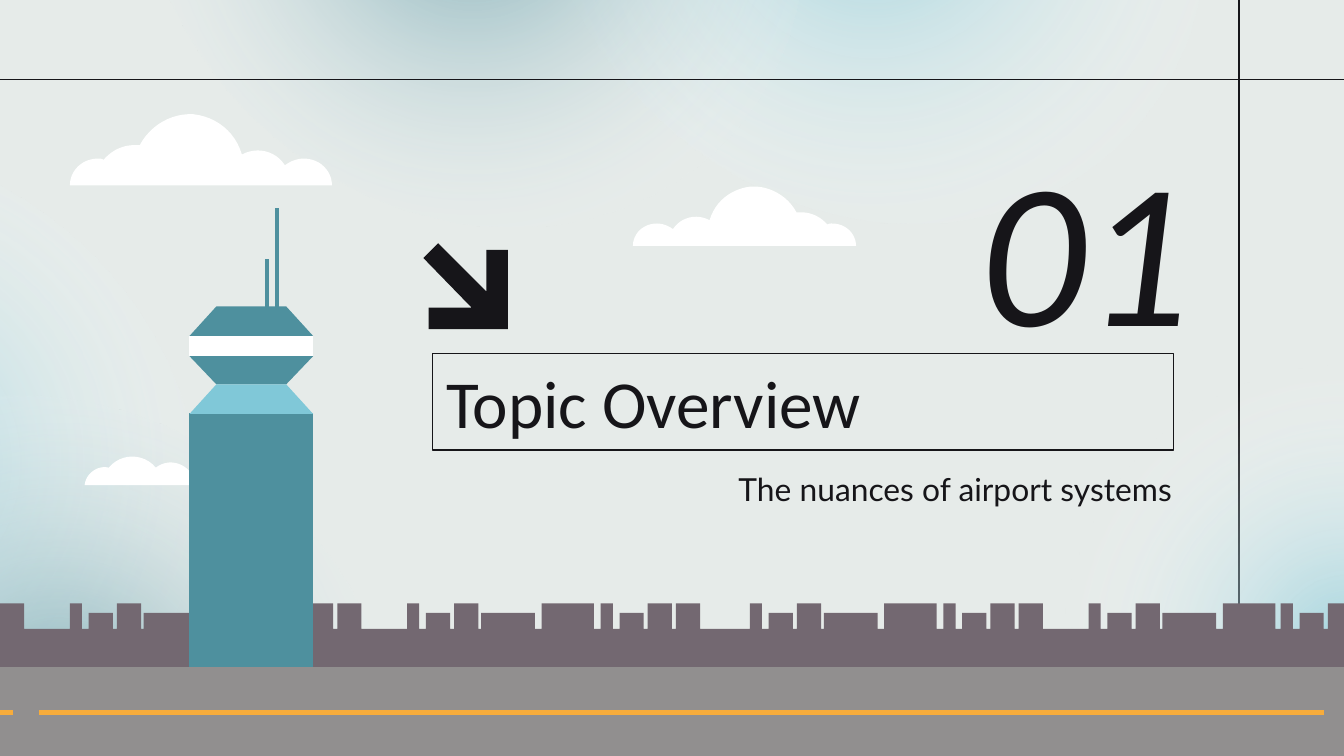
from lxml import etree
from pptx import Presentation
from pptx.dml.color import RGBColor
from pptx.enum.shapes import MSO_CONNECTOR, MSO_SHAPE
from pptx.enum.text import MSO_ANCHOR, PP_ALIGN
from pptx.oxml import parse_xml
from pptx.oxml.ns import nsdecls, qn
from pptx.util import Inches, Pt

OVAL = MSO_SHAPE.OVAL
STRAIGHT = MSO_CONNECTOR.STRAIGHT
MIDDLE = MSO_ANCHOR.MIDDLE
LEFT, RIGHT = PP_ALIGN.LEFT, PP_ALIGN.RIGHT

PAPER = RGBColor(0xE6, 0xEB, 0xE9)
INK = RGBColor(0x16, 0x15, 0x19)
TEAL = RGBColor(0x4E, 0x90, 0x9E)
SKY = RGBColor(0x80, 0xC8, 0xD8)
WHITE = RGBColor(0xFF, 0xFF, 0xFF)
CITY = RGBColor(0x73, 0x68, 0x71)
ASPHALT = RGBColor(0x91, 0x8F, 0x8F)
MARKING = RGBColor(0xF7, 0xAC, 0x3B)

# Each outline: design size, start point, then cubic segments
# (two control points and an end point), closed along the flat base.
FULL_CLOUD = ((1.95, 0.54), (1.95, 0.54), [
    ((1.95, 0.43), (1.86, 0.34), (1.74, 0.34)),
    ((1.69, 0.34), (1.64, 0.36), (1.6, 0.39)),
    ((1.53, 0.28), (1.39, 0.25), (1.28, 0.31)),
    ((1.23, 0.14), (1.09, 0.03), (0.92, 0.01)),
    ((0.76, 0), (0.6, 0.09), (0.52, 0.24)),
    ((0.51, 0.24), (0.49, 0.24), (0.48, 0.24)),
    ((0.39, 0.24), (0.31, 0.28), (0.25, 0.35)),
    ((0.24, 0.34), (0.22, 0.34), (0.21, 0.34)),
    ((0.09, 0.34), (0, 0.43), (0, 0.54)),
])
SMALL_CLOUD = ((0.96, 0.24), (0, 0.24), [
    ((0.01, 0.15), (0.1, 0.09), (0.18, 0.11)),
    ((0.27, 0), (0.44, 0), (0.53, 0.11)),
    ((0.62, 0.04), (0.74, 0.07), (0.8, 0.16)),
    ((0.87, 0.13), (0.94, 0.17), (0.96, 0.24)),
])


def add_outline(slide, points, color):
    corners = [(Inches(x), Inches(y)) for x, y in points]
    builder = slide.shapes.build_freeform(*corners[0])
    builder.add_line_segments(corners[1:], close=True)
    outline = builder.convert_to_shape()
    outline.shadow.inherit = False
    outline.fill.solid()
    outline.fill.fore_color.rgb = color
    outline.line.fill.background()


def add_block(slide, left, top, width, height, color):
    right, bottom = left + width, top + height
    add_outline(slide, [(left, top), (left, bottom), (right, bottom), (right, top)], color)


def add_rule(slide, start, end, color, weight):
    rule = slide.shapes.add_connector(STRAIGHT, *[Inches(v) for v in (*start, *end)])
    rule.line.color.rgb = color
    rule.line.width = Pt(weight)
    etree.SubElement(rule._element.spPr, qn("a:effectLst"))


def add_glow(slide, left, top, rotation, color, opacity=68):
    """Soft ellipse that fades from its centre to nothing."""
    glow = slide.shapes.add_shape(
        OVAL, Inches(left), Inches(top), Inches(5.22), Inches(4.6))
    glow.rotation = rotation
    glow.line.fill.background()
    stops = "".join(
        f'<a:gs pos="{pos * 1000}"><a:srgbClr val="{tint}">'
        f'<a:alpha val="{alpha * 1000}"/></a:srgbClr></a:gs>'
        for pos, tint, alpha in ((0, color, opacity), (58, WHITE, 0), (100, WHITE, 0)))
    gradient = parse_xml(
        f'<a:gradFill {nsdecls("a")} rotWithShape="1"><a:gsLst>{stops}</a:gsLst>'
        '<a:path path="circle"><a:fillToRect l="50000" t="50000" r="50000" b="50000"/>'
        '</a:path></a:gradFill>')
    glow._element.spPr.find(qn("a:prstGeom")).addnext(gradient)
    glow.shadow.inherit = False


def add_cloud(slide, left, top, width, height, cloud, mirrored=False):
    (design_width, design_height), start, segments = cloud
    curve, steps = [start], 12
    for first, second, end in segments:
        origin = curve[-1]
        for step in range(1, steps + 1):
            t = step / steps
            curve.append(tuple(
                (1 - t) ** 3 * a + 3 * t * (1 - t) ** 2 * b + 3 * t * t * (1 - t) * c + t ** 3 * d
                for a, b, c, d in zip(origin, first, second, end)))
    if mirrored:
        curve = [(design_width - x, y) for x, y in curve]
    add_outline(slide, [(left + x * width / design_width, top + y * height / design_height)
                        for x, y in curve], WHITE)


def add_skyline(slide, left, top, width, height):
    """City silhouette: one cluster of houses repeated, with two endings in turn."""
    low, street = 0.07, 0.19
    cluster = [(0, 0.09, 0), (0.14, 0.32, low), (0.35, 0.53, 0)]
    endings = [[(0.56, 0.74, 0)], [(0.55, 0.95, low), (1, 1.39, 0)]]
    starts = [0.52, 1.95, 3.03, 4.47, 5.58, 7.02, 8.1, 9.53]
    houses = [(0, 0.18, 0)]
    for index, start in enumerate(starts):
        # The first cluster takes the wide ending, the last one meets the edge.
        ending = endings[(index + 1) % 2] if start != starts[-1] else []
        houses += [(start + a, start + b, roof) for a, b, roof in cluster + ending]
    points = [(left, top + height)]
    for a, b, roof in houses:
        points += [(left + a, top + street), (left + a, top + roof),
                   (left + b, top + roof), (left + b, top + street)]
    add_outline(slide, points + [(left + width, top + height)], CITY)


def add_tower(slide, left, top, width, height):
    inset = 0.2

    def flare(upper, lower, color, narrow_top):
        ins_top, ins_bottom = (inset, 0) if narrow_top else (0, inset)
        add_outline(slide, [
            (left + ins_top, top + upper), (left + ins_bottom, top + lower),
            (left + width - ins_bottom, top + lower),
            (left + width - ins_top, top + upper)], color)

    add_block(slide, left, top + 0.95, width, 0.15, WHITE)
    add_block(slide, left, top + 1.52, width, height - 1.52, TEAL)
    flare(1.1, 1.31, TEAL, False)
    flare(0.73, 0.95, TEAL, True)
    flare(1.31, 1.53, SKY, True)
    for offset, tip in ((0.64, 0), (0.56, 0.38)):
        add_block(slide, left + offset, top + tip, 0.03, 0.83 - tip, TEAL)


def add_arrow(slide, left, top):
    add_outline(slide, [(left + x, top + y) for x, y in (
        (0.11, 0), (0, 0.11), (0.36, 0.48), (0.04, 0.48), (0.04, 0.64), (0.63, 0.64),
        (0.63, 0.05), (0.47, 0.05), (0.47, 0.36))], INK)


def add_text(slide, left, top, width, height, text, font, size, align=RIGHT):
    box = slide.shapes.add_textbox(*[Inches(v) for v in (left, top, width, height)])
    frame = box.text_frame
    frame.word_wrap = True
    frame.vertical_anchor = MIDDLE
    frame.margin_left = frame.margin_right = Inches(0.1)
    frame.margin_top = frame.margin_bottom = Inches(0.1)
    paragraph = frame.paragraphs[0]
    paragraph.text = text
    paragraph.alignment = align
    paragraph.font.name = font
    paragraph.font.size = Pt(size)
    paragraph.font.color.rgb = INK
    return box


def add_backdrop(slide):
    slide.background.fill.solid()
    slide.background.fill.fore_color.rgb = PAPER
    add_rule(slide, (9.22, 6.25), (9.22, -0.32), INK, 0.75)
    add_glow(slide, 3.88, -3.08, 42, SKY)
    add_glow(slide, 0.9, -3.06, 42, TEAL)
    add_glow(slide, 6.11, 4.36, 356.7, TEAL, 81)
    add_glow(slide, 7.42, 2.54, 356.7, SKY)
    add_glow(slide, -3.65, 1.14, 33.5, SKY)
    add_glow(slide, -2.18, 3.04, 33.5, TEAL)
    add_rule(slide, (10.06, 0.59), (-0.06, 0.59), INK, 0.75)
    add_skyline(slide, 0, 4.49, 10.06, 0.48)
    add_block(slide, 0, 4.96, 10.06, 0.7, ASPHALT)
    for start, end in ((0.29, 9.85), (0, 0.1)):
        add_rule(slide, (start, 5.3), (end, 5.3), MARKING, 2.56)
    add_cloud(slide, 0.52, 0.84, 1.95, 0.54, FULL_CLOUD)
    add_cloud(slide, 4.71, 1.38, 1.66, 0.45, FULL_CLOUD, mirrored=True)
    add_cloud(slide, 0.63, 3.37, 0.96, 0.24, SMALL_CLOUD)


def add_heading(slide):
    title = add_text(slide, 3.22, 2.63, 5.51, 0.72, "Topic Overview", "Calibri", 36, LEFT)
    title.line.color.rgb = INK
    title.line.width = Pt(0.75)
    number = add_text(slide, 6.5, 1.23, 2.46, 1.17, "01", "Calibri", 111)
    number.text_frame.paragraphs[0].font.italic = True
    add_text(slide, 4.26, 3.46, 4.56, 0.35, "The nuances of airport systems", "Lato", 17)


def main():
    deck = Presentation()
    deck.slide_width = Inches(10)
    deck.slide_height = deck.slide_width * 9 // 16
    slide = deck.slides.add_slide(deck.slide_layouts[6])
    add_backdrop(slide)
    add_heading(slide)
    add_tower(slide, 1.41, 1.55, 0.92, 3.41)
    add_arrow(slide, 3.15, 1.81)
    deck.save("out.pptx")


if __name__ == "__main__":
    main()
